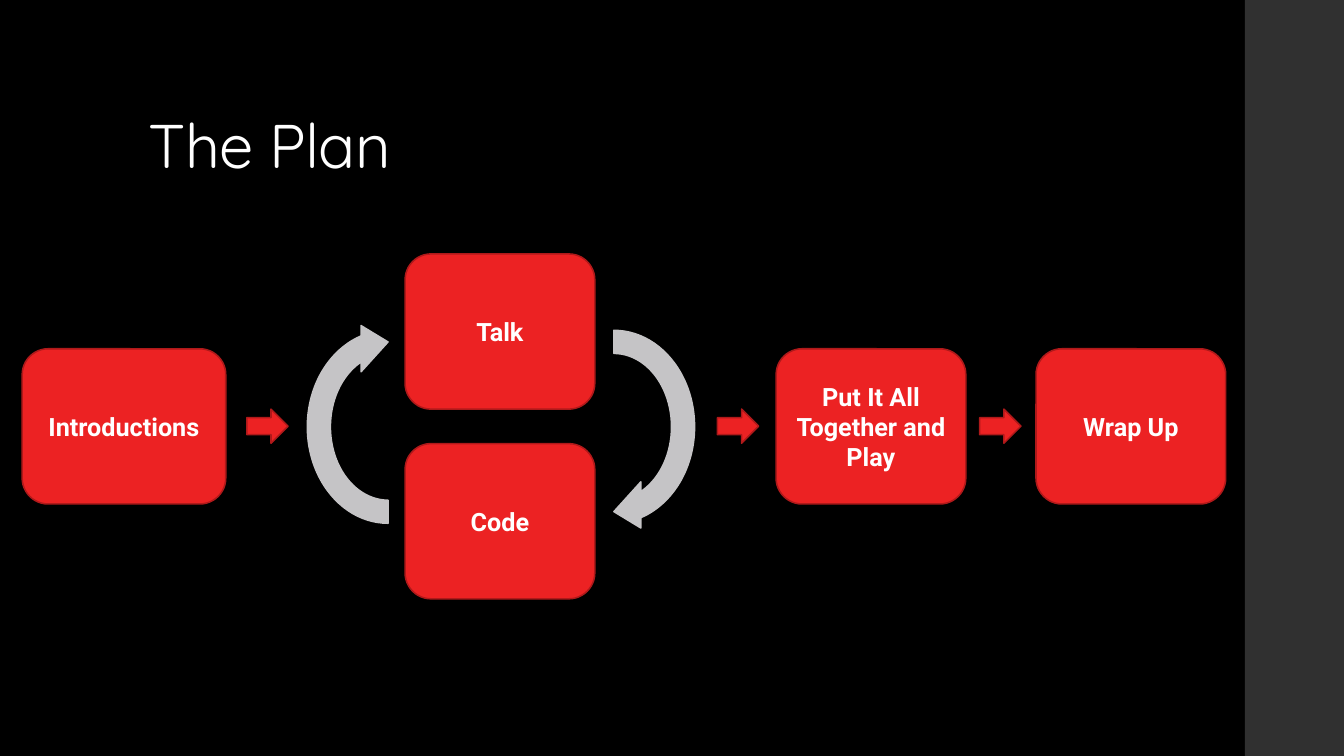
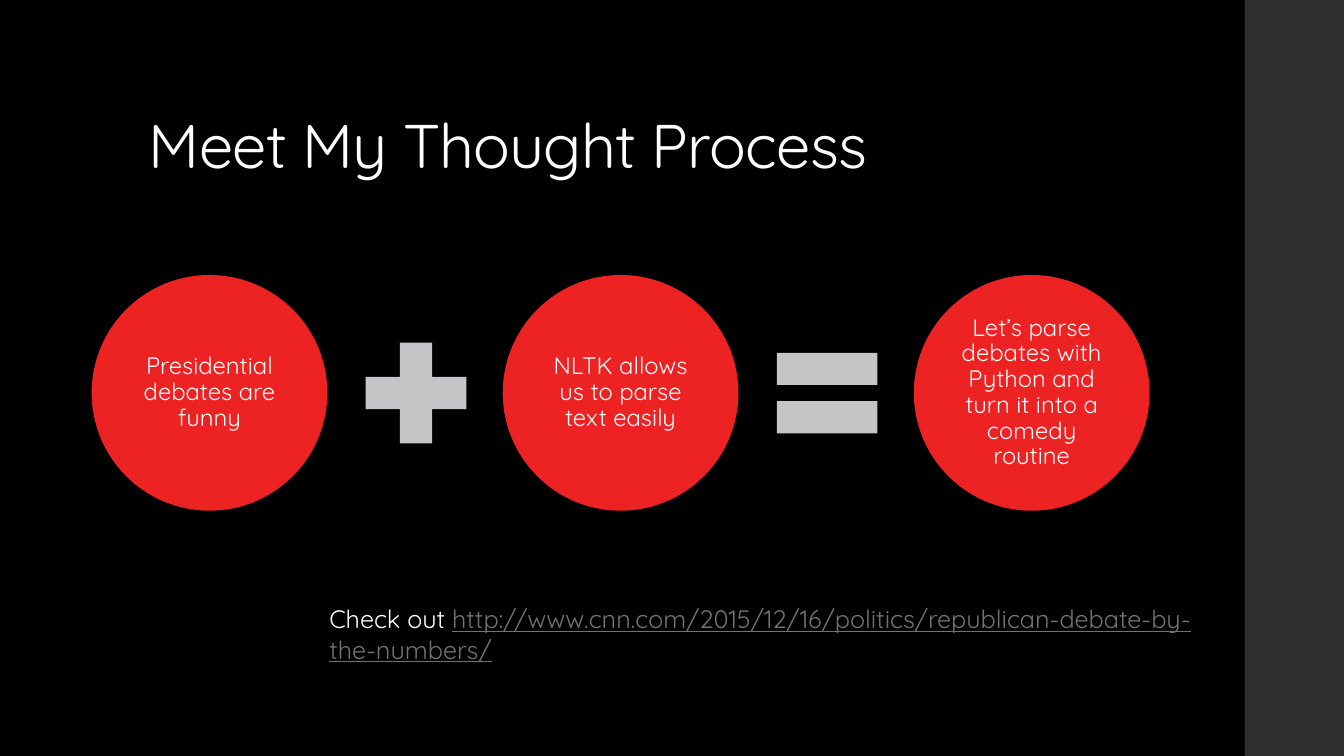
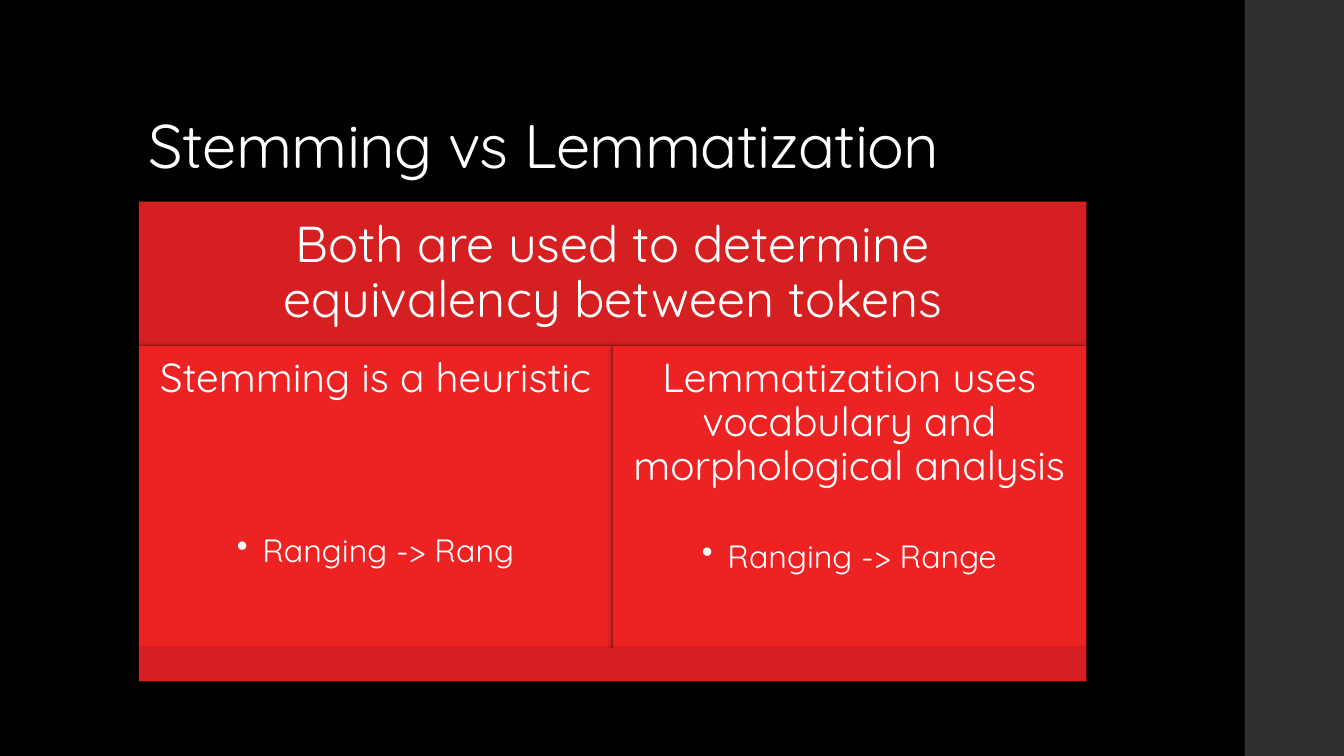
from lxml import etree
from pptx import Presentation
from pptx.dml.color import RGBColor
from pptx.enum.shapes import MSO_SHAPE
from pptx.enum.text import MSO_ANCHOR, PP_ALIGN
from pptx.oxml.ns import qn
from pptx.util import Cm, Pt

RECT, ROUND, OVAL = MSO_SHAPE.RECTANGLE, MSO_SHAPE.ROUNDED_RECTANGLE, MSO_SHAPE.OVAL
ARROW, CURVED = MSO_SHAPE.RIGHT_ARROW, MSO_SHAPE.CIRCULAR_ARROW
PLUS, EQUAL = MSO_SHAPE.MATH_PLUS, MSO_SHAPE.MATH_EQUAL
TOP, MIDDLE, BOTTOM = MSO_ANCHOR.TOP, MSO_ANCHOR.MIDDLE, MSO_ANCHOR.BOTTOM
LEFT, CENTER = PP_ALIGN.LEFT, PP_ALIGN.CENTER

BLACK = RGBColor(0x00, 0x00, 0x00)
WHITE = RGBColor(0xFF, 0xFF, 0xFF)
CHARCOAL = RGBColor(0x30, 0x30, 0x30)
RED = RGBColor(0xEC, 0x22, 0x23)
DARK_RED = RGBColor(0xD6, 0x1F, 0x20)
EDGE_RED = RGBColor(0xAF, 0x19, 0x1A)
SILVER = RGBColor(0xC5, 0xC4, 0xC6)
LINK_GRAY = RGBColor(0x72, 0x72, 0x72)

BOX_FONT = {"name": "Roboto", "size": Pt(18), "bold": True}
TITLE_FONT = {"name": "Quicksand", "size": Pt(44)}
CIRCLE_FONT = {"name": "Quicksand", "size": Pt(17)}
LINK_FONT = {"name": "Quicksand", "size": Pt(18)}
HEADER_FONT = {"name": "Quicksand", "size": Pt(36)}
PANEL_FONT = {"name": "Quicksand", "size": Pt(29)}
BULLET_FONT = {"name": "Quicksand", "size": Pt(23)}


def add_shape(s, kind, box, fill, line=None, shadow=False):
    sp = s.shapes.add_shape(kind, *[Cm(v) for v in box])
    sp.fill.solid()
    sp.fill.fore_color.rgb = fill
    if line is None:
        sp.line.fill.background()
    else:
        sp.line.color.rgb = line
        sp.line.width = Pt(1.1)
    sp.shadow.inherit = False
    if shadow:
        effects = sp._element.spPr.find(qn("a:effectLst"))
        outer = etree.SubElement(effects, qn("a:outerShdw"), blurRad=str(Pt(4)),
                                 dist=str(Pt(1.2)), dir="5400000", rotWithShape="0")
        color = etree.SubElement(outer, qn("a:srgbClr"), val=str(BLACK))
        etree.SubElement(color, qn("a:alpha"), val="75000")
    return sp


def write(sp, text, fmt, anchor=MIDDLE, align=CENTER, spacing=0.9, margin=None):
    tf = sp.text_frame
    tf.word_wrap = True
    tf.vertical_anchor = anchor
    if margin is not None:
        for side in ("left", "right", "top", "bottom"):
            setattr(tf, f"margin_{side}", Cm(margin))
    p = tf.paragraphs[0]
    if p.runs:
        p = tf.add_paragraph()
    p.alignment = align
    p.line_spacing = spacing
    r = p.add_run()
    r.text = text
    r.font.color.rgb = WHITE
    for key, value in fmt.items():
        setattr(r.font, key, value)
    return p


prs = Presentation()
prs.slide_width, prs.slide_height = Cm(33.87), Cm(19.05)
background = prs.slide_master.background.fill
background.solid()
background.fore_color.rgb = BLACK

slides = []
for title in ["The Plan", "Meet My Thought Process", "Stemming vs Lemmatization"]:
    s = prs.slides.add_slide(prs.slide_layouts[6])
    add_shape(s, RECT, (31.37, 0, 2.5, 19.05), CHARCOAL)
    tb = s.shapes.add_textbox(Cm(3.5), Cm(1.02), Cm(26.92), Cm(3.68))
    p = write(tb, title, TITLE_FONT, BOTTOM, LEFT)
    p.runs[0].font._element.set("spc", "-50")
    slides.append(s)
plan, thought, compare = slides

for text, left, top, width in [
    ("Introductions", 0.56, 8.79, 5.13),
    ("Put It All Together and Play", 19.56, 8.79, 4.78),
    ("Wrap Up", 26.11, 8.79, 4.78),
    ("Talk", 10.21, 6.4, 4.78),
    ("Code", 10.21, 11.18, 4.78),
]:
    sp = add_shape(plan, ROUND, (left, top, width, 3.91), RED, EDGE_RED)
    write(sp, text, BOX_FONT, spacing=1.0)
for left, rotation in [(12.75, 90), (7.06, 270)]:
    sp = add_shape(plan, CURVED, (left, 8.43, 5.44, 4.65), SILVER, SILVER)
    sp.rotation = rotation
for left in (6.22, 18.08, 24.69):
    add_shape(plan, ARROW, (left, 10.31, 1.04, 0.86), RED, EDGE_RED)

STEP = 10.36
for i, text in enumerate([
    "Presidential debates are funny",
    "NLTK allows us to parse text easily",
    "Let’s parse debates with Python and turn it into a comedy routine",
]):
    sp = add_shape(thought, OVAL, (2.31 + i * STEP, 6.93, 5.94, 5.94), RED, shadow=True)
    write(sp, text, CIRCLE_FONT, margin=0.05)
for i, kind in enumerate([PLUS, EQUAL]):
    add_shape(thought, kind, (8.76 + i * STEP, 8.18, 3.45, 3.45), SILVER, shadow=True)

tb = thought.shapes.add_textbox(Cm(8.05), Cm(15.09), Cm(23.24), Cm(1.02))
p = write(tb, "Check out ", LINK_FONT, TOP, LEFT, 1.0)
r = p.add_run()
r.text = "http://www.cnn.com/2015/12/16/politics/republican-debate-by-the-numbers/"
for key, value in {**LINK_FONT, "underline": True}.items():
    setattr(r.font, key, value)
r.font.color.rgb = LINK_GRAY

PANEL_LEFT, PANEL_WIDTH = 3.5, 11.94
sp = add_shape(compare, RECT, (PANEL_LEFT, 5.08, 2 * PANEL_WIDTH, 3.63), DARK_RED, shadow=True)
write(sp, "Both are used to determine equivalency between tokens", HEADER_FONT, margin=0.38)
for i, (heading, example, gap) in enumerate([
    ("Stemming is a heuristic", "Ranging -> Rang", 95),
    ("Lemmatization uses vocabulary and morphological analysis", "Ranging -> Range", 37),
]):
    box = (PANEL_LEFT + i * PANEL_WIDTH, 8.71, PANEL_WIDTH, 7.62)
    sp = add_shape(compare, RECT, box, RED, shadow=True)
    write(sp, heading, PANEL_FONT, TOP, margin=0.3)
    p = write(sp, example, BULLET_FONT, TOP)
    p.space_before = Pt(gap)
    pPr = p._p.get_or_add_pPr()
    pPr.set("marL", str(Cm(0.64)))
    pPr.set("indent", str(-Cm(0.64)))
    etree.SubElement(pPr, qn("a:buChar"), char="•")
add_shape(compare, RECT, (PANEL_LEFT, 16.33, 2 * PANEL_WIDTH, 0.84), DARK_RED, shadow=True)

prs.save("out.pptx")
